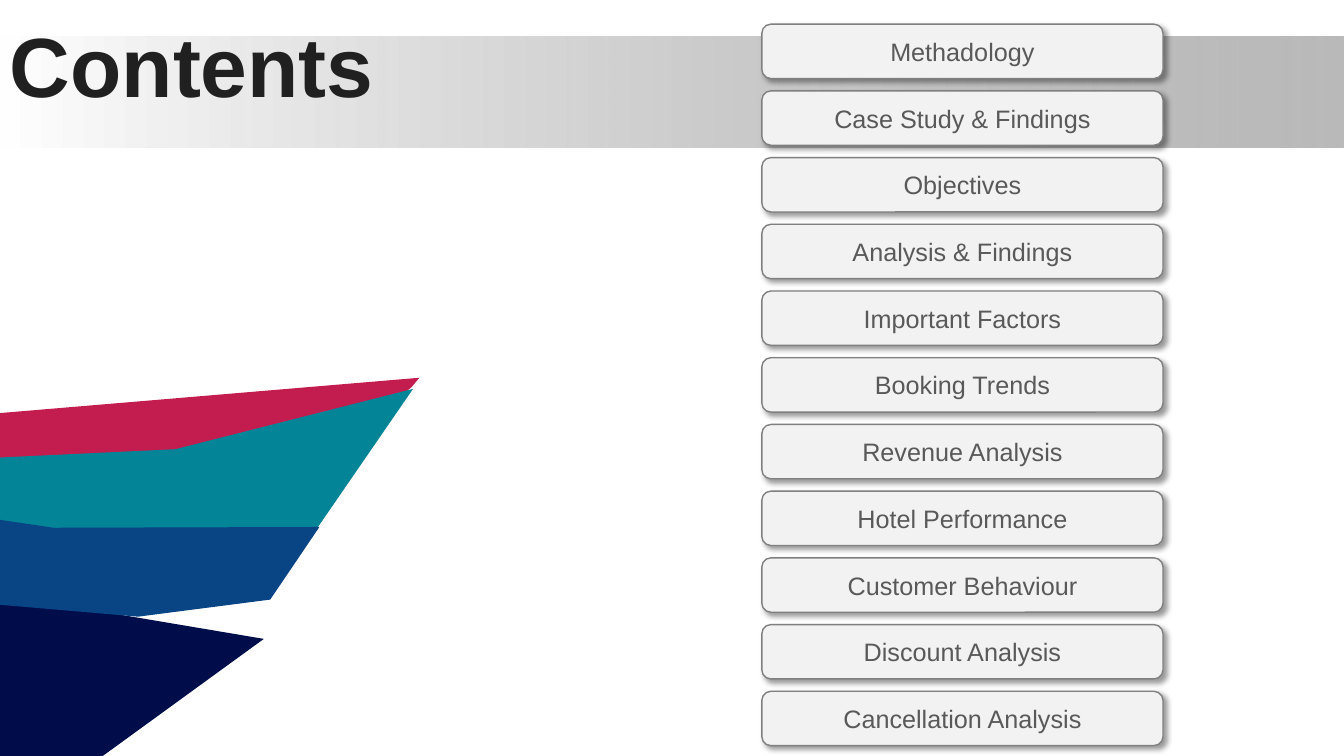
from dataclasses import dataclass

from lxml.etree import SubElement
from pptx import Presentation
from pptx.dml.color import RGBColor as Rgb
from pptx.enum.shapes import MSO_SHAPE as Shape
from pptx.enum.text import MSO_ANCHOR as Anchor, PP_ALIGN as Align
from pptx.oxml.ns import qn
from pptx.util import Cm, Pt


@dataclass(frozen=True)
class Theme:
    font: str = "Arial"
    title_size: int = 60
    item_size: int = 18
    title: str = "202020"
    item_text: str = "595959"
    item_fill: str = "F2F2F2"
    grey: str = "808080"
    white: str = "FFFFFF"
    black: str = "000000"
    crimson: str = "C31C4F"
    teal: str = "038497"
    navy: str = "000D4B"
    blue: str = "094484"


THEME = Theme()

TOPICS = [
    "Methadology", "Case Study & Findings", "Objectives",
    "Analysis & Findings", "Important Factors", "Booking Trends",
    "Revenue Analysis", "Hotel Performance", "Customer Behaviour",
    "Discount Analysis", "Cancellation Analysis",
]

# Corner points in cm from the top left of the ribbon area
RIBBONS = [
    (THEME.crimson, [(0, 2.16), (8.33, 1.8), (10.36, 0.25), (10.57, 0), (0, 0.89)]),
    (THEME.teal, [(0, 3.76), (4.65, 4.39), (7.98, 3.81), (10.41, 0.28),
                  (4.42, 1.8), (0, 2.01)]),
    (THEME.navy, [(2.59, 9.53), (6.65, 6.58), (0, 5.46), (0, 9.53)]),
    (THEME.blue, [(0, 5.72), (3.48, 6.02), (6.81, 5.59), (8.05, 3.76),
                  (1.35, 3.78), (0, 3.58)]),
]


def color(code):
    return Rgb.from_string(code)


def write(frame, text, size, code, bold=False, **para_format):
    para = frame.paragraphs[0]
    for name, value in para_format.items():
        setattr(para, name, value)
    span = para.add_run()
    span.text = text
    span.font.color.rgb = color(code)
    font_format = {"name": THEME.font, "size": Pt(size), "bold": bold}
    for name, value in font_format.items():
        setattr(span.font, name, value)


def add_soft_shadow(shape):
    effects = SubElement(shape._element.spPr, qn("a:effectLst"))
    shadow = SubElement(effects, qn("a:outerShdw"), {
        "blurRad": str(Pt(4)), "dist": str(Pt(3)), "dir": "2700000",
        "algn": "tl", "rotWithShape": "0"})
    tint = SubElement(shadow, qn("a:srgbClr"), val=THEME.black)
    SubElement(tint, qn("a:alpha"), val="40000")


# Band that fades in from the left
def add_band(page, box):
    band = page.shapes.add_shape(Shape.RECTANGLE, *box)
    band.shadow.inherit = False
    band.line.fill.background()
    band.fill.gradient()
    band.fill.gradient_angle = 0
    stops = zip(band.fill.gradient_stops, (0, 1), (THEME.white, THEME.grey))
    for stop, position, code in stops:
        stop.position = position
        stop.color.rgb = color(code)
    end_tint = list(band._element.spPr.iter(qn("a:srgbClr")))[-1]
    SubElement(end_tint, qn("a:alpha"), val="54000")


# Coloured ribbons in the lower left corner
def add_ribbons(page, left, top):
    for code, corners in RIBBONS:
        points = [(left + Cm(x), top + Cm(y)) for x, y in corners]
        builder = page.shapes.build_freeform(*points[0])
        builder.add_line_segments(points[1:], close=True)
        ribbon = builder.convert_to_shape()
        ribbon.shadow.inherit = False
        ribbon.fill.solid()
        ribbon.fill.fore_color.rgb = color(code)
        ribbon.line.fill.background()


def add_title(page, box, text):
    frame = page.shapes.add_textbox(*box).text_frame
    frame.word_wrap = True
    frame.vertical_anchor = Anchor.BOTTOM
    write(frame, text, THEME.title_size, THEME.title, bold=True, line_spacing=0.9)


# Column of evenly spaced topic buttons
def add_topics(page, box, topics):
    left, top, width, height = box
    button_height = Cm(1.37)
    pitch = (height - button_height) / (len(topics) - 1)
    for index, topic in enumerate(topics):
        button = page.shapes.add_shape(
            Shape.ROUNDED_RECTANGLE, left, round(top + index * pitch),
            width, button_height)
        button.fill.solid()
        button.fill.fore_color.rgb = color(THEME.item_fill)
        button.line.color.rgb = color(THEME.grey)
        button.line.width = Pt(1)
        add_soft_shadow(button)
        frame = button.text_frame
        frame.word_wrap = True
        frame.vertical_anchor = Anchor.MIDDLE
        write(frame, topic, THEME.item_size, THEME.item_text,
              alignment=Align.CENTER)


def add_contents_page(deck):
    page = deck.slides.add_slide(deck.slide_layouts[6])
    add_band(page, (0, Cm(0.91), deck.slide_width, Cm(2.8)))
    add_ribbons(page, 0, Cm(9.52))
    add_title(page, (0, 0, Cm(20.96), Cm(3.05)), "Contents")
    add_topics(page, (Cm(19.2), Cm(0.61), Cm(10.11), Cm(18.18)), TOPICS)


def main():
    deck = Presentation()
    deck.slide_width, deck.slide_height = Cm(33.87), Cm(19.05)
    add_contents_page(deck)
    deck.save("out.pptx")


if __name__ == "__main__":
    main()
